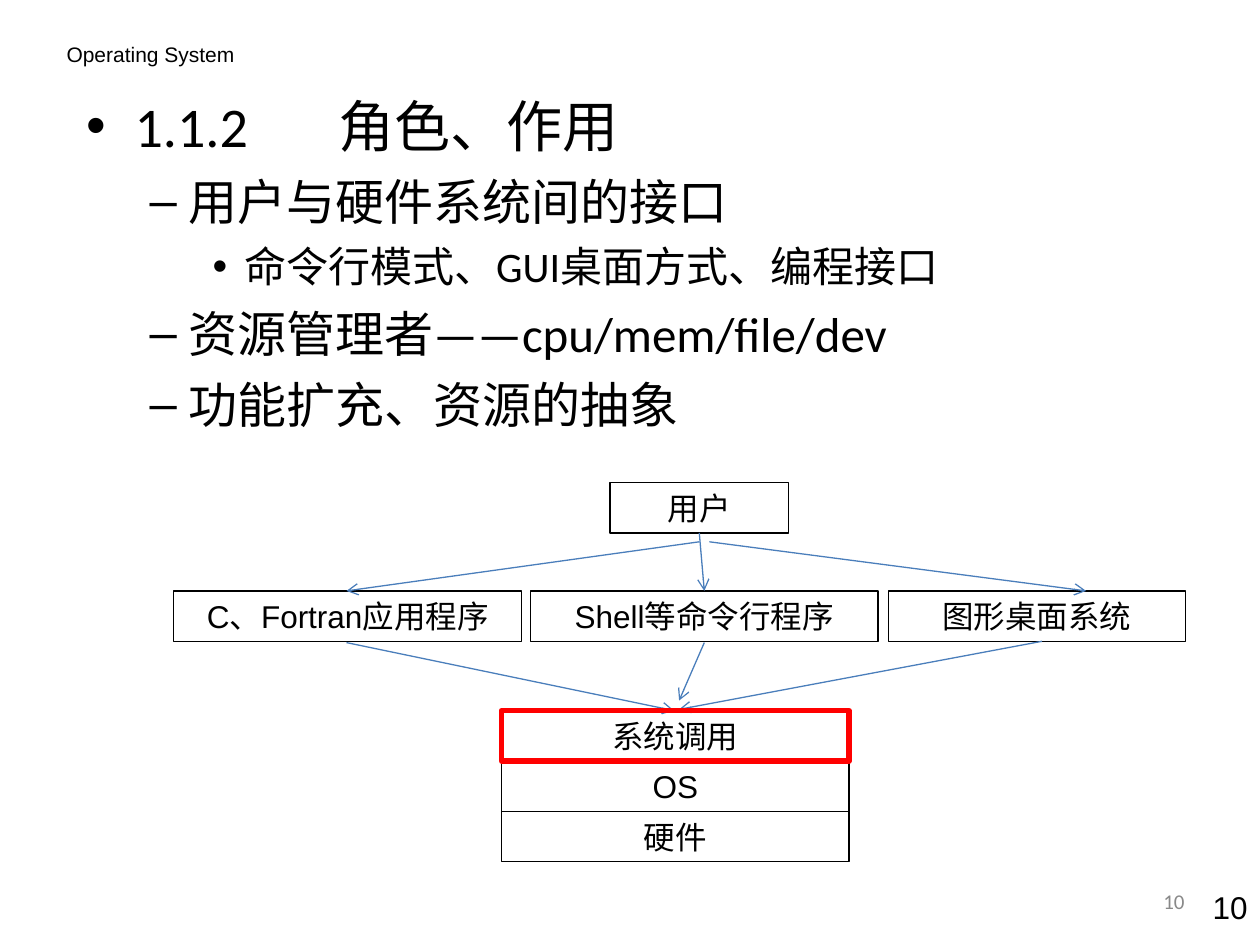
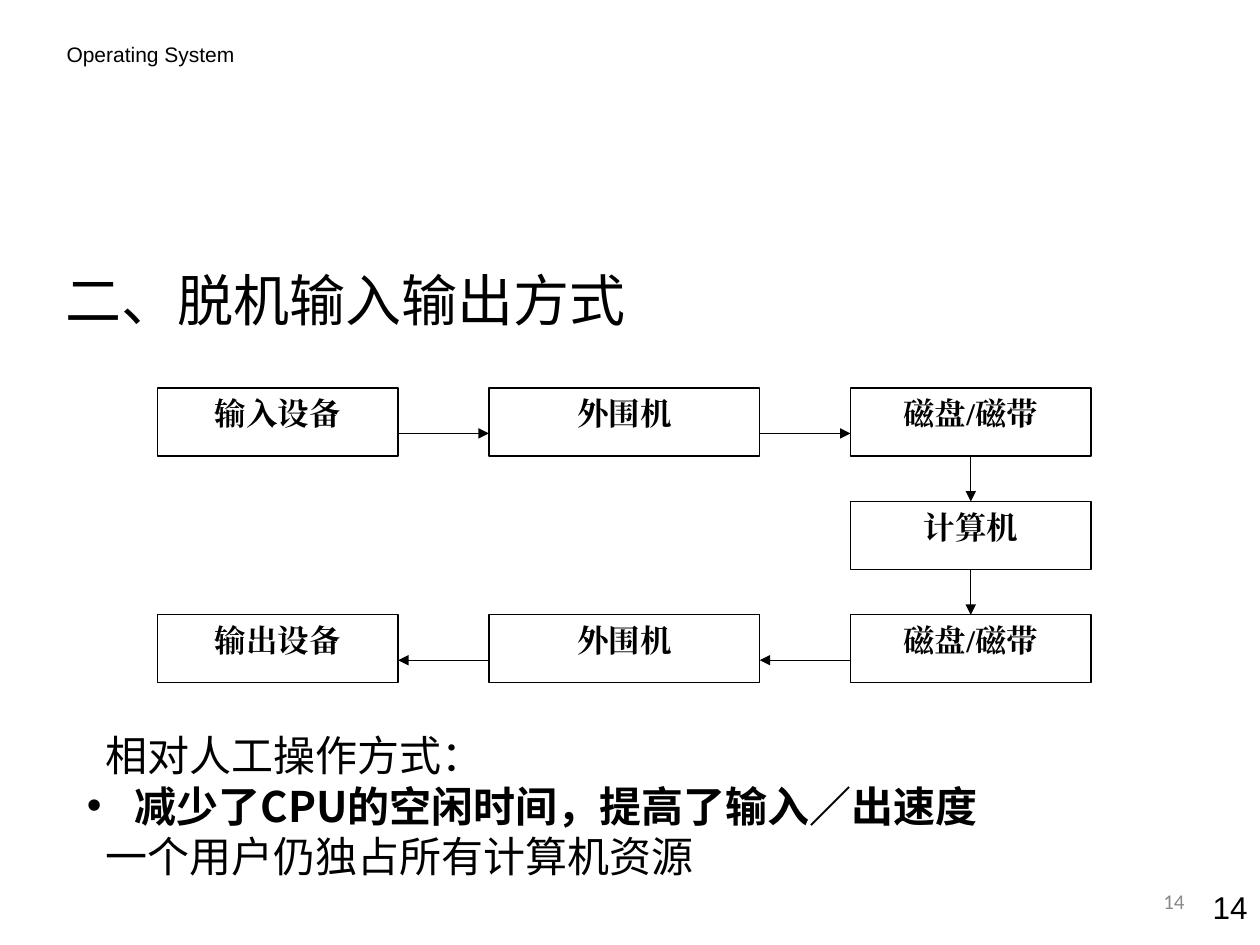
from lxml.etree import SubElement
from pptx import Presentation
from pptx.dml.color import RGBColor
from pptx.enum.shapes import MSO_CONNECTOR, MSO_SHAPE
from pptx.enum.text import MSO_ANCHOR, PP_ALIGN
from pptx.oxml.ns import qn
from pptx.util import Inches, Pt

BLACK = RGBColor(0x00, 0x00, 0x00)
WHITE = RGBColor(0xFF, 0xFF, 0xFF)
RED = RGBColor(0xFF, 0x00, 0x00)
BLUE = RGBColor(0x4A, 0x7E, 0xBB)
GRAY = RGBColor(0x89, 0x89, 0x89)
SANS, BODY, SERIF, HAN = "Arial", "Calibri", "Times New Roman", "Noto Sans CJK SC"
LEVELS = [
    dict(size=32, left=0.38, hang=0.38, mark="•", before=8, tab=2),
    dict(size=28, left=0.81, hang=0.31, mark="–", before=7),
    dict(size=24, left=1.25, hang=0.25, mark="•", before=6),
]


def write(frame, text, size=18, font=SANS, color=BLACK, bold=False, align=PP_ALIGN.LEFT,
          left=0, hang=0, mark=None, before=0, pitch=None, tab=None):
    """Add one formatted paragraph to a text frame."""
    first = not frame.text
    para = frame.paragraphs[0] if first else frame.add_paragraph()
    para.alignment = align
    para.space_before = Pt(0 if first else before)
    if pitch:
        para.line_spacing = Pt(pitch)
    props = para._p.get_or_add_pPr()
    props.set("marL", str(Inches(left)))
    props.set("indent", str(-Inches(hang)))
    if mark:
        tint = SubElement(props, qn("a:buClr"))
        SubElement(tint, qn("a:srgbClr"), val=str(color))
        SubElement(props, qn("a:buFont"), typeface=SANS)
        SubElement(props, qn("a:buChar"), char=mark)
    if tab:
        stops = SubElement(props, qn("a:tabLst"))
        SubElement(stops, qn("a:tab"), pos=str(Inches(tab)), algn="l")
    run = para.add_run()
    run.text = text
    run.font.size, run.font.name, run.font.bold = Pt(size), font, bold
    run.font.color.rgb = color
    SubElement(run._r.get_or_add_rPr(), qn("a:ea"), typeface=font)


def label(slide, box, anchor=MSO_ANCHOR.TOP):
    """Add an empty text box and return its frame."""
    frame = slide.shapes.add_textbox(*map(Inches, box)).text_frame
    frame.word_wrap = True
    frame.vertical_anchor = anchor
    return frame


def node(slide, text, box, line=BLACK, width=0.75, fill=None, **style):
    """Draw an outlined box with centred text."""
    shape = slide.shapes.add_shape(MSO_SHAPE.RECTANGLE, *map(Inches, box))
    shape.shadow.inherit = False
    if fill is None:
        shape.fill.background()
    else:
        shape.fill.solid()
        shape.fill.fore_color.rgb = fill
    shape.line.color.rgb, shape.line.width = line, Pt(width)
    shape.text_frame.word_wrap = True
    shape.text_frame.vertical_anchor = MSO_ANCHOR.TOP
    write(shape.text_frame, text, align=PP_ALIGN.CENTER, **style)


def arrow(slide, start, end, color=BLACK, tip="triangle"):
    """Draw a thin arrow from start to end."""
    link = slide.shapes.add_connector(MSO_CONNECTOR.STRAIGHT, *map(Inches, (*start, *end)))
    link.line.color.rgb, link.line.width = color, Pt(0.75)
    props = link._element.spPr
    small = {"w": "med", "len": "med"}
    SubElement(props.find(qn("a:ln")), qn("a:tailEnd"), type=tip, **small)
    SubElement(props, qn("a:effectLst"))


def base(deck, number):
    """Add a slide with the running header and both page numbers."""
    slide = deck.slides.add_slide(deck.slide_layouts[6])
    write(label(slide, (0.43, 0.28, 4.1, 0.3)), "Operating System", size=12)
    write(label(slide, (9.33, 7, 0.67, 0.4)), number, align=PP_ALIGN.RIGHT)
    write(label(slide, (7.17, 6.95, 2.33, 0.4), MSO_ANCHOR.MIDDLE), number,
          size=12, font=BODY, color=GRAY, align=PP_ALIGN.RIGHT)
    return slide


def outline(slide, box, items):
    """Write a bulleted outline of (level, text) items."""
    frame = label(slide, box)
    for level, text in items:
        write(frame, text, font=BODY, **LEVELS[level])


def layers(slide, x, y):
    """Draw the user, program and system layers with their arrows."""
    high, wide = 0.4, 2.76
    node(slide, "用户", (x + 3.46, y, 1.42, high))
    row = y + 0.86
    programs = [("C、Fortran应用程序", 0, wide), ("Shell等命令行程序", 2.83, wide),
                ("图形桌面系统", 5.67, 2.36)]
    for text, dx, width in programs:
        node(slide, text, (x + dx, row, width, high))
    stack = y + 1.81
    for step, text in ((1, "OS"), (2, "硬件")):
        node(slide, text, (x + 2.6, stack + step * high, wide, high))
    paths = [(4.17, 0.47, 1.37, 0.86), (4.17, 0.4, 4.21, 0.86), (4.25, 0.47, 7.24, 0.86),
             (1.37, 1.27, 3.97, 1.81), (4.21, 1.27, 4.01, 1.73), (6.89, 1.26, 4.01, 1.8)]
    for x1, y1, x2, y2 in paths:
        arrow(slide, (x + x1, y + y1), (x + x2, y + y2), BLUE, "arrow")
    node(slide, "系统调用", (x + 2.6, stack, wide, high), line=RED, width=3)


def flow(slide, x, y):
    """Draw the offline input and output chain."""
    high, step, gap = 0.54, 0.9, 0.72
    cols = [(x, 1.91), (x + 2.63, 2.15), (x + 5.5, 1.91)]
    cells = [(0, 0, "输入设备"), (0, 1, "外围机"), (0, 2, "磁盘/磁带"), (1, 2, "计算机"),
             (2, 0, "输出设备"), (2, 1, "外围机"), (2, 2, "磁盘/磁带")]
    for row, col, text in cells:
        left, wide = cols[col]
        node(slide, text, (left, y + row * step, wide, high),
             fill=WHITE, font=SERIF, bold=True)
    for left, wide in cols[:2]:
        near, far = left + wide, left + wide + gap
        top, low = y + 0.36, y + 2 * step + 0.36
        arrow(slide, (near, top), (far, top))
        arrow(slide, (far, low), (near, low))
    mid = cols[2][0] + cols[2][1] / 2
    for row in range(2):
        start = y + row * step + high
        arrow(slide, (mid, start), (mid, y + (row + 1) * step))


def roles(deck):
    """Build the slide on the roles of an operating system."""
    slide = base(deck, "10")
    outline(slide, (0.59, 0.68, 8.83, 3.31), [
        (0, "1.1.2\t角色、作用"),
        (1, "用户与硬件系统间的接口"),
        (2, "命令行模式、GUI桌面方式、编程接口"),
        (1, "资源管理者——cpu/mem/file/dev"),
        (1, "功能扩充、资源的抽象"),
    ])
    layers(slide, 1.38, 3.83)


def offline(deck):
    """Build the slide on offline input and output."""
    slide = base(deck, "14")
    write(label(slide, (0.42, 2, 5.67, 0.75), MSO_ANCHOR.MIDDLE),
          "二、脱机输入输出方式", size=32, font=HAN)
    flow(slide, 1.25, 3.08)
    frame = label(slide, (0.59, 5.82, 9.29, 1.25))
    style = dict(size=24, font=HAN, before=6, pitch=23)
    write(frame, "相对人工操作方式：", left=0.15, **style)
    write(frame, "减少了CPU的空闲时间，提高了输入／出速度", bold=True,
          left=0.38, hang=0.38, mark="•", **style)
    write(frame, "一个用户仍独占所有计算机资源", left=0.15, **style)


def main():
    """Build and save the deck."""
    deck = Presentation()
    deck.slide_width, deck.slide_height = Inches(10), Inches(7.5)
    roles(deck)
    offline(deck)
    deck.save("out.pptx")


if __name__ == "__main__":
    main()
